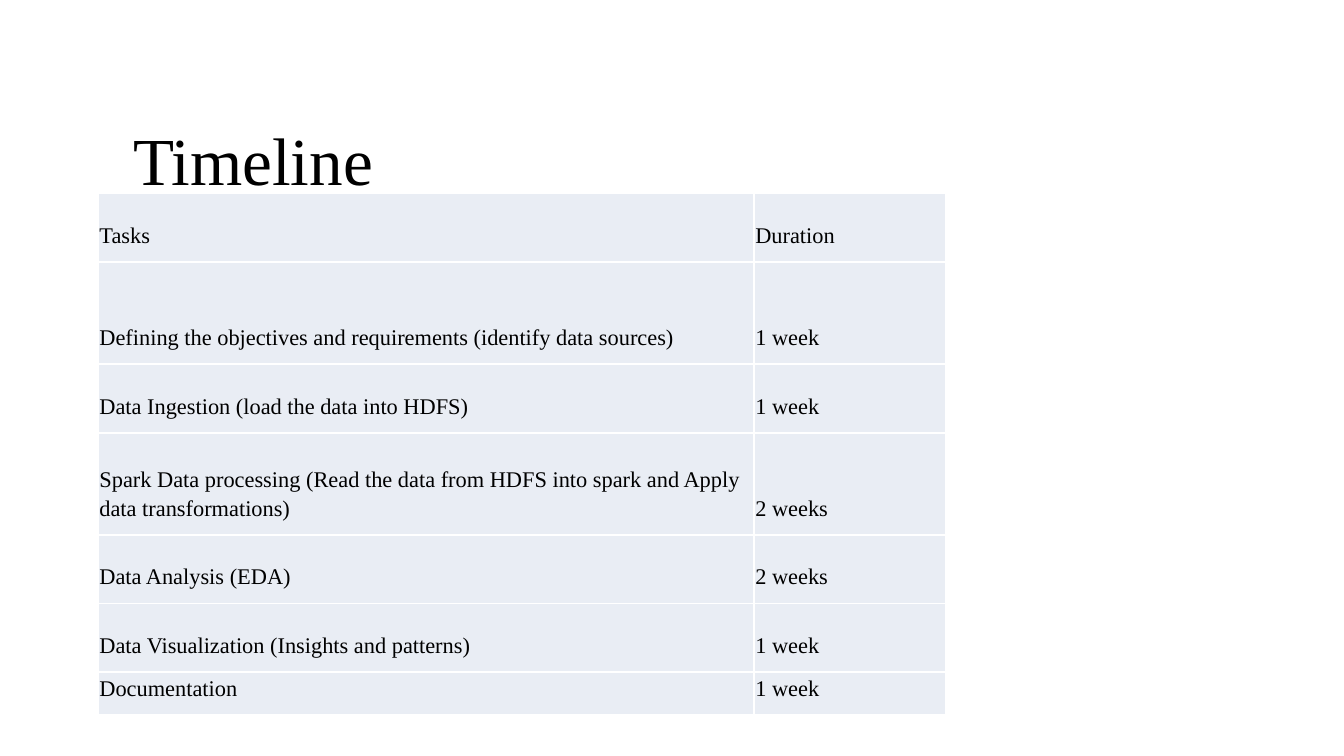
"""Build a project timeline slide with a table of tasks and durations."""
import lxml.etree
import pptx
import pptx.dml.color
import pptx.enum.text
import pptx.oxml.ns
import pptx.util

Inches = pptx.util.Inches
Pt = pptx.util.Pt
RGBColor = pptx.dml.color.RGBColor
Anchor = pptx.enum.text.MSO_ANCHOR

BLACK = RGBColor(0x00, 0x00, 0x00)
WHITE = RGBColor(0xFF, 0xFF, 0xFF)
PALE_BLUE = RGBColor(0xE9, 0xED, 0xF4)
FONT = "Times New Roman"

COLUMN_WIDTHS = (4.88, 1.43)
SCHEDULE = (
    (0.51, "Tasks", "Duration"),
    (0.76, "Defining the objectives and requirements (identify data sources)", "1 week"),
    (0.51, "Data Ingestion (load the data into HDFS)", "1 week"),
    (0.76, "Spark Data processing (Read the data from HDFS into spark and Apply "
           "data transformations)", "2 weeks"),
    (0.51, "Data Analysis (EDA)", "2 weeks"),
    (0.51, "Data Visualization (Insights and patterns)", "1 week"),
    (0.25, "Documentation", "1 week"),
)


def add_run(paragraph, text, size):
    run = paragraph.add_run()
    run.text = text
    run.font.name = FONT
    run.font.size = Pt(size)
    run.font.bold = False
    run.font.color.rgb = BLACK


def set_title(slide, text):
    title = slide.shapes.title
    title.left, title.top = Inches(0.89), Inches(0.78)
    title.width, title.height = Inches(3.09), Inches(0.66)
    frame = title.text_frame
    frame.word_wrap = True
    frame.auto_size = pptx.enum.text.MSO_AUTO_SIZE.NONE
    frame.vertical_anchor = Anchor.TOP
    frame.margin_left = frame.margin_right = Inches(0.1)
    frame.margin_top = frame.margin_bottom = Inches(0.1)
    paragraph = frame.paragraphs[0]
    paragraph.alignment = pptx.enum.text.PP_ALIGN.LEFT
    add_run(paragraph, text, 36)


def add_borders(cell, color):
    qualified = pptx.oxml.ns.qn
    properties = cell._tc.get_or_add_tcPr()
    for side in ("L", "R", "T", "B"):
        line = lxml.etree.SubElement(properties, qualified(f"a:ln{side}"), w=str(Pt(1)))
        fill = lxml.etree.SubElement(line, qualified("a:solidFill"))
        lxml.etree.SubElement(fill, qualified("a:srgbClr"), val=str(color))


def format_cell(cell, text):
    add_borders(cell, WHITE)
    cell.fill.solid()
    cell.fill.fore_color.rgb = PALE_BLUE
    cell.vertical_anchor = Anchor.BOTTOM
    cell.margin_left = cell.margin_top = cell.margin_right = Inches(0.01)
    cell.margin_bottom = Inches(0.1)
    paragraph = cell.text_frame.paragraphs[0]
    paragraph.line_spacing = 1.15
    add_run(paragraph, text, 12)


def add_schedule(slide):
    height = sum(row[0] for row in SCHEDULE)
    table = slide.shapes.add_table(
        len(SCHEDULE), len(COLUMN_WIDTHS), Inches(0.73), Inches(1.44),
        Inches(sum(COLUMN_WIDTHS)), Inches(height)).table
    table.first_row = table.horz_banding = False
    for column, width in zip(table.columns, COLUMN_WIDTHS):
        column.width = Inches(width)
    for row, (row_height, *texts) in zip(table.rows, SCHEDULE):
        row.height = Inches(row_height)
        for cell, text in zip(row.cells, texts):
            format_cell(cell, text)


def main():
    presentation = pptx.Presentation()
    presentation.slide_width = Inches(10)
    presentation.slide_height = Inches(10) * 9 // 16
    slide = presentation.slides.add_slide(presentation.slide_layouts[5])
    set_title(slide, "Timeline")
    add_schedule(slide)
    presentation.save("out.pptx")


if __name__ == "__main__":
    main()
